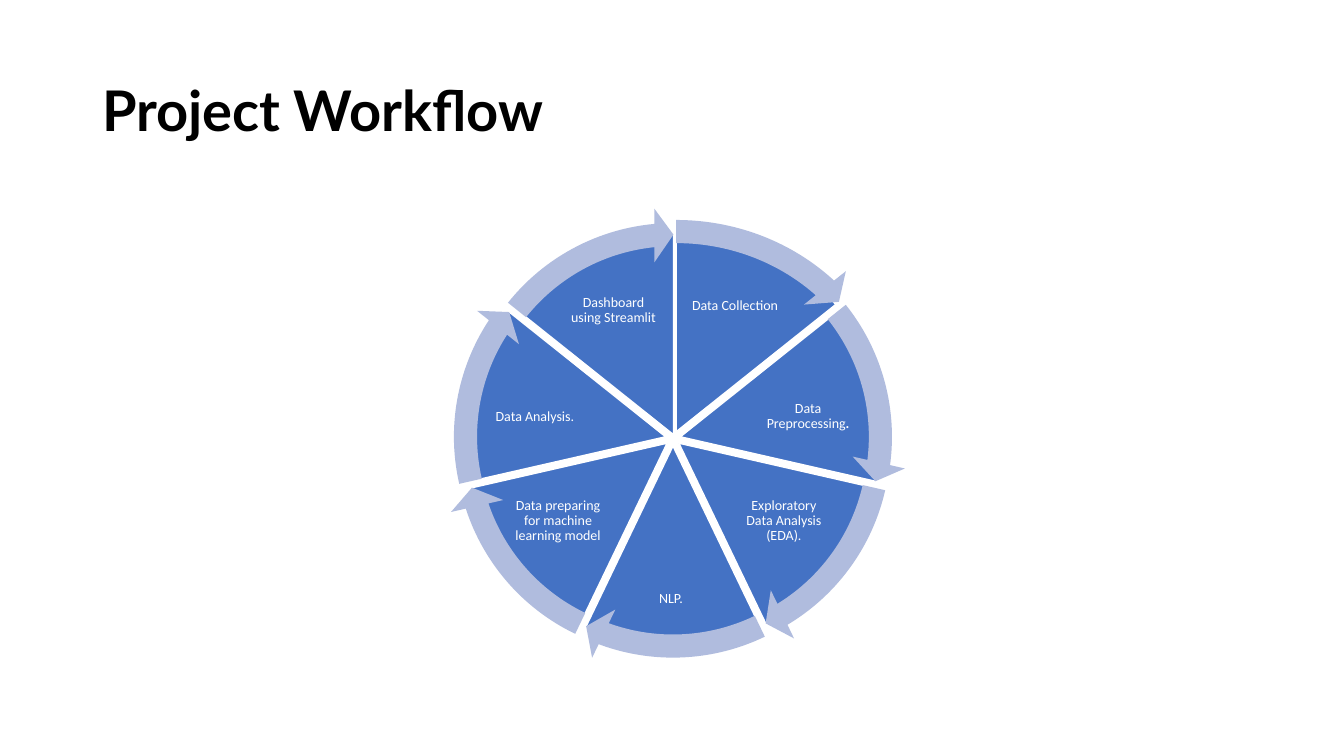
from collections import namedtuple
from math import cos, radians, sin

from pptx import Presentation
from pptx.dml.color import RGBColor
from pptx.enum.shapes import MSO_SHAPE
from pptx.enum.text import MSO_ANCHOR, PP_ALIGN
from pptx.util import Inches, Pt

WIDTH, HEIGHT = Inches(13.33), Inches(7.5)
COLOURS = {"title": "000000", "label": "FFFFFF", "slice": "4472C4",
           "gap": "FFFFFF", "arrow": "B0BCDE"}
TITLE_FONT = {"name": "Lato", "size": Pt(40), "bold": True}
LABEL_FONT = {"name": "Calibri", "size": Pt(10)}
TITLE_FRAME = {"word_wrap": True, "vertical_anchor": MSO_ANCHOR.MIDDLE}
LABEL_FRAME = TITLE_FRAME | {
    f"margin_{side}": Inches(0.01) for side in ("left", "top", "right", "bottom")}

# Wheel measures, as shares of the slide height
HUB = (0.89, 0.58)
SLICE_SIZE, ARROW_SIZE = 0.53, 0.6
SPREAD = 0.01
# Angles, in degrees; adjustments count 100000 / 60000 degrees as one
DEGREES_PER_UNIT = 100 / 60
ARROW_SWEEP, ARROW_HEAD = 45.97, 5.46

# Label centre and size are in percent of the slide's width and height
Step = namedtuple("Step", "texts centre size slice_stretch arrow_stretch nudge",
                  defaults=(1, 1, (0, 0)))
STEPS = [
    Step(["Data Collection"], (54.69, 40.53), (7.35, 10.13), 1.03, 1.06),
    Step(["Data Preprocessing", "."], (60.13, 55.13), (8.18, 8.93)),
    Step(["Exploratory Data Analysis (EDA)."], (58.33, 68.93), (7.13, 9.87)),
    Step(["NLP."], (49.92, 79.27), (6.98, 8.93)),
    Step(["Data preparing for machine learning model"], (41.52, 68.93), (7.13, 9.87)),
    Step(["Data Analysis."], (39.8, 55.13), (8.18, 8.93)),
    Step(["Dashboard using Streamlit"], (45.65, 41.07), (7.13, 10.13),
         nudge=(0.5, 0.4)),
]


def set_all(target, values):
    """Set each attribute of target from a dict."""
    for name, value in values.items():
        setattr(target, name, value)


def add_text(shapes, texts, place, frame_format, font_format, colour, align):
    """Add a text box; place holds left, top, width, height in percent."""
    left, top, width, height = (
        int(side * share / 100) for side, share in zip((WIDTH, HEIGHT) * 2, place))
    box = shapes.add_textbox(left, top, width, height)
    set_all(box.text_frame, frame_format)
    para = box.text_frame.paragraphs[0]
    set_all(para, {"alignment": align, "line_spacing": 0.9})
    for text in texts:
        span = para.add_run()
        span.text = text
        set_all(span.font, font_format)
        span.font.color.rgb = RGBColor.from_string(COLOURS[colour])
    return para


def add_round(shapes, kind, centre, size, stretch, colour, adjustments):
    """Add a filled round shape about a centre, in shares of the slide height."""
    width, height = int(HEIGHT * size * stretch), int(HEIGHT * size)
    middle_x, middle_y = (int(HEIGHT * share) for share in centre)
    part = shapes.add_shape(kind, middle_x - width // 2, middle_y - height // 2,
                            width, height)
    part.shadow.inherit = False
    part.fill.solid()
    part.fill.fore_color.rgb = RGBColor.from_string(COLOURS[colour])
    part.line.fill.background()
    for index, value in enumerate(adjustments):
        part.adjustments[index] = value
    return part


def wheel_angles(index):
    """Return the start and end angle of a slice, clockwise from the top."""
    return tuple((270 + 360 * turn / len(STEPS)) % 360 for turn in (index, index + 1))


def slice_centre(index):
    """Return the centre of a slice, moved outwards from the hub."""
    middle = radians(270 + 360 * (index + 0.5) / len(STEPS))
    return tuple(hub + SPREAD * turn(middle) + nudge / 100 for hub, turn, nudge
                 in zip(HUB, (cos, sin), STEPS[index].nudge))


def add_slice(shapes, index):
    """Add one slice of the wheel and its label."""
    step = STEPS[index]
    angles = [angle / DEGREES_PER_UNIT for angle in wheel_angles(index)]
    wedge = add_round(shapes, MSO_SHAPE.PIE, slice_centre(index), SLICE_SIZE,
                      step.slice_stretch, "slice", angles)
    wedge.line.color.rgb = RGBColor.from_string(COLOURS["gap"])
    wedge.line.width = Pt(1)
    corner = [middle - size / 2 for middle, size in zip(step.centre, step.size)]
    para = add_text(shapes, step.texts, (*corner, *step.size), LABEL_FRAME,
                    LABEL_FONT, "label", PP_ALIGN.CENTER)
    for span in para.runs[1:]:
        span.font.bold = True


def add_arrow(shapes, index):
    """Add the arrow that runs round the rim of one slice."""
    start = wheel_angles(index)[0]
    end = (start + ARROW_SWEEP) % 360
    head, end, start = (angle / DEGREES_PER_UNIT for angle in (ARROW_HEAD, end, start))
    add_round(shapes, MSO_SHAPE.CIRCULAR_ARROW, slice_centre(index), ARROW_SIZE,
              STEPS[index].arrow_stretch, "arrow",
              (5.1 / 100, head, end, start, 5.9 / 100))


def main():
    """Build the workflow page and save the deck."""
    deck = Presentation()
    set_all(deck, {"slide_width": WIDTH, "slide_height": HEIGHT})
    page = deck.slides.add_slide(deck.slide_layouts[6])
    add_text(page.shapes, ["Project Workflow"], (6.88, 5.33, 86.25, 19.33),
             TITLE_FRAME, TITLE_FONT, "title", PP_ALIGN.LEFT)
    wheel = page.shapes.add_group_shape()
    for add_part in (add_slice, add_arrow):
        for index in range(len(STEPS)):
            add_part(wheel.shapes, index)
    deck.save("out.pptx")


main()
